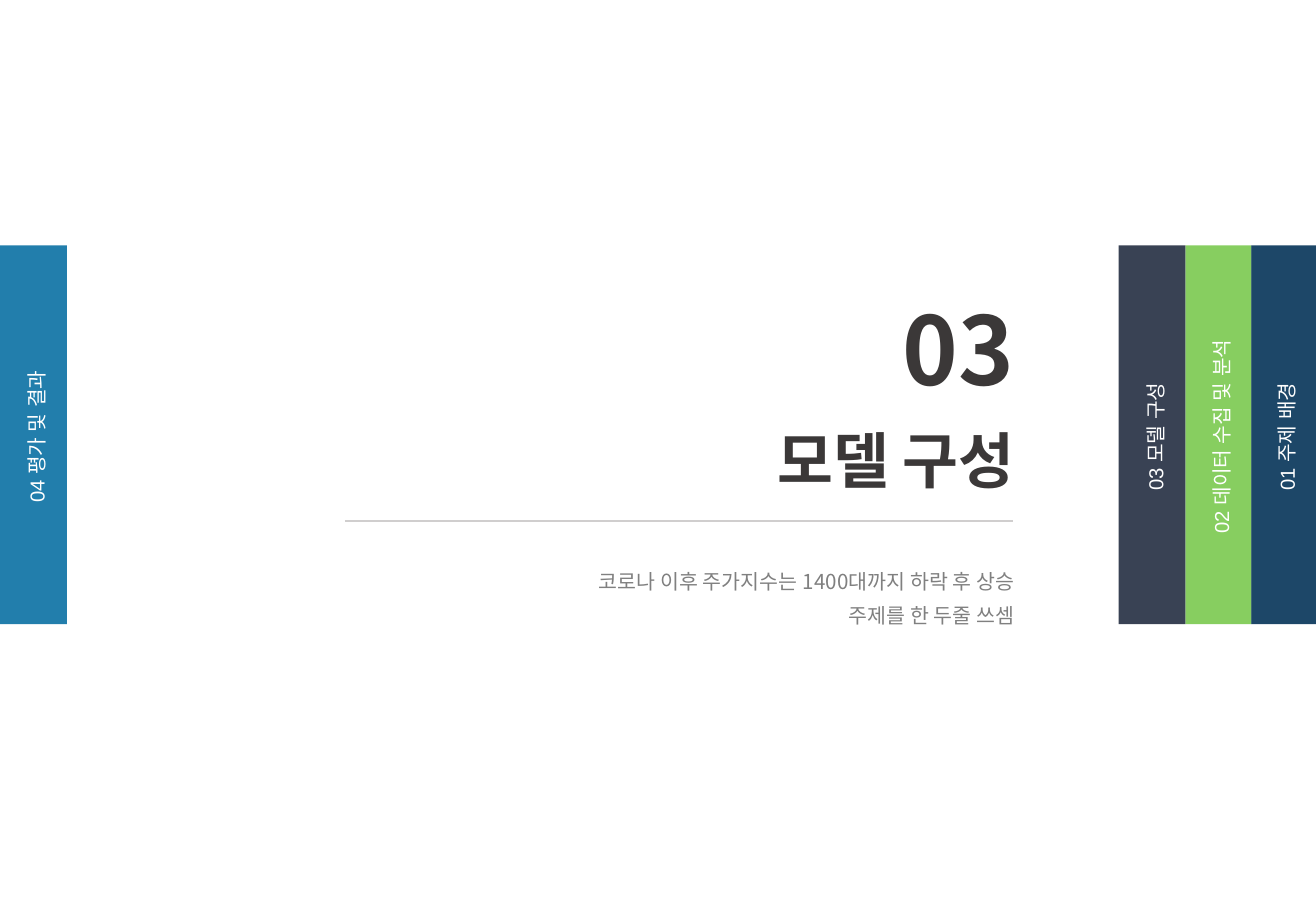
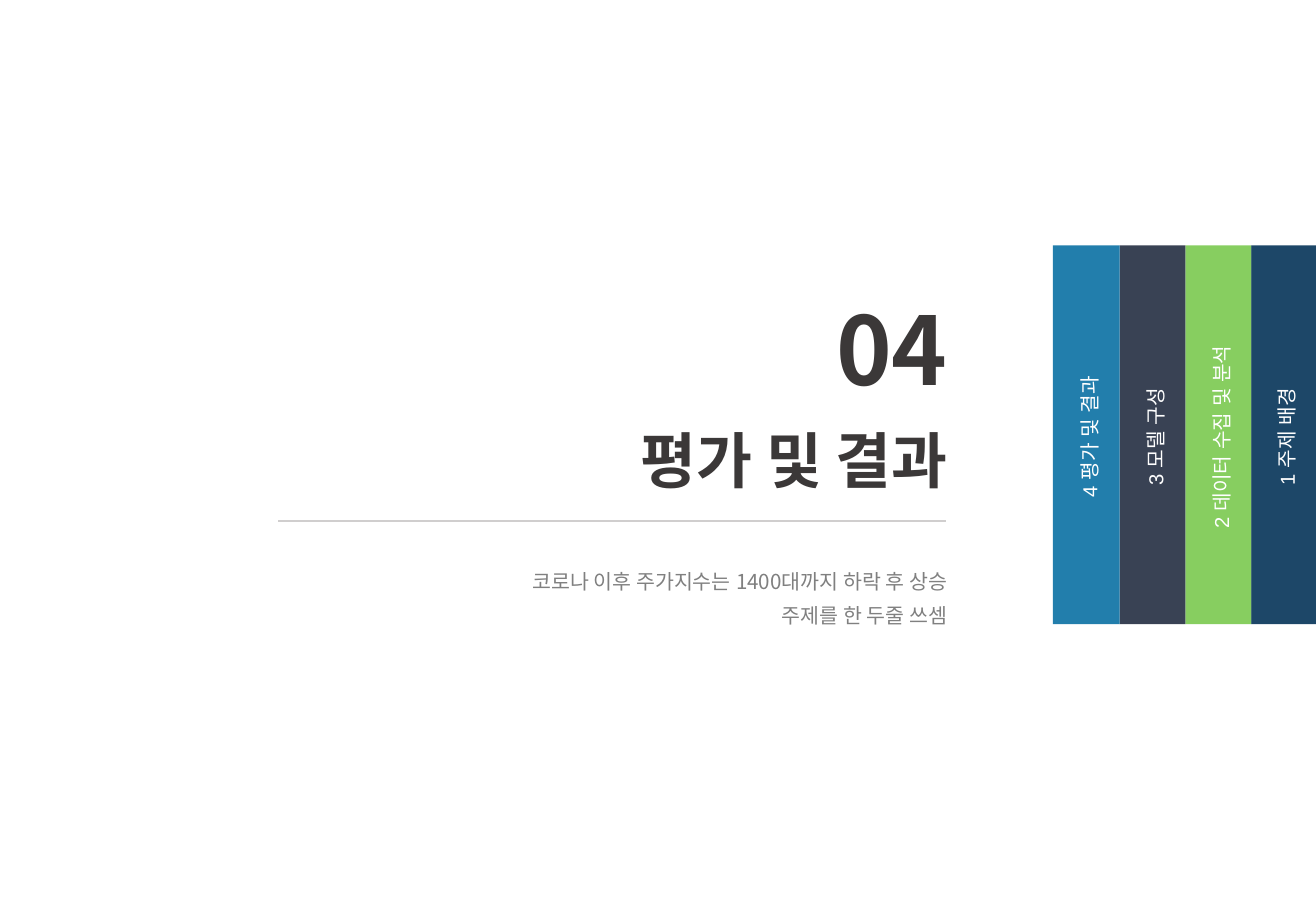
from dataclasses import dataclass

from lxml import etree
from pptx import Presentation
from pptx.dml.color import RGBColor
from pptx.enum import shapes, text
from pptx.oxml import ns
from pptx.util import Pt


@dataclass(frozen=True)
class Theme:
    """Colours, fonts and type sizes of the deck."""
    white: str = "FFFFFF"
    ink: str = "3B3838"
    grey: str = "808080"
    rule: str = "D0CECE"
    tabs: tuple = ("1D4768", "87CE60", "394254", "227EAC")
    sans: str = "Noto Sans CJK KR"
    label: str = "Arial"
    huge: float = 56
    title: float = 36
    body: float = 12.2
    small: float = 12


LOOK = Theme()
WIDE, HIGH = 780, 540
TAB, STEP = 39.6, 39
TOP, TALL = 145.4, 224.6
NAMES = ("주제 배경", "데이터 수집 및 분석", "모델 구성", "평가 및 결과")
NOTES = ("코로나 이후 주가지수는 1400대까지 하락 후 상승", "주제를 한 두줄 쓰셈")


def add_text(slide, box, lines, size, color, face, lead, align, bold=False, wrap=True):
    """Add a text box with one style for all its lines."""
    shape = slide.shapes.add_textbox(*map(Pt, box))
    frame = shape.text_frame
    frame.word_wrap = wrap
    frame.text = "\n".join(lines)
    for para in frame.paragraphs:
        para.alignment = align
        para.line_spacing = Pt(lead)
        font = para.font
        font.size, font.bold, font.name = Pt(size), bold, face
        font.color.rgb = RGBColor.from_string(color)
        props = para._p.pPr.find(ns.qn("a:defRPr"))
        etree.SubElement(props, ns.qn("a:ea"), typeface=face)
    return shape


def add_rect(slide, box, color):
    """Add a plain filled rectangle."""
    shape = slide.shapes.add_shape(shapes.MSO_SHAPE.RECTANGLE, *map(Pt, box))
    shape.shadow.inherit = False
    shape.fill.solid()
    shape.fill.fore_color.rgb = RGBColor.from_string(color)
    shape.line.fill.background()


def add_rule(slide, left, right, y):
    """Add a thin horizontal rule."""
    line = slide.shapes.add_connector(
        shapes.MSO_CONNECTOR.STRAIGHT, Pt(left), Pt(y), Pt(right), Pt(y))
    line.line.color.rgb = RGBColor.from_string(LOOK.rule)
    line.line.width = Pt(1.25)
    etree.SubElement(line._element.spPr, ns.qn("a:effectLst"))


def add_tab(slide, left, color, label):
    """Add a vertical tab with its turned label."""
    add_rect(slide, (left, 0, TAB, HIGH), LOOK.white)
    add_rect(slide, (left, TOP, TAB, TALL), color)
    wide, high = 223.2, 26.6
    box = (left + (TAB - wide) / 2 - 0.6, 245.5, wide, high)
    turn = add_text(slide, box, [label], LOOK.small, LOOK.white, LOOK.label,
                    19.5, text.PP_ALIGN.CENTER)
    turn.rotation = 270


def add_head(slide, right, index):
    """Add the number, title, rule and notes, flush right."""
    end = text.PP_ALIGN.RIGHT
    heads = ((f"{index:02}", 182.2, 90.7, LOOK.huge),
             (NAMES[index - 1], 236.2, 435.6, LOOK.title))
    for words, top, wide, size in heads:
        add_text(slide, (right - wide, top, wide, 61.2), [words], size,
                 LOOK.ink, LOOK.sans, 54, end, bold=True, wrap=False)
    add_rule(slide, right - 404, right - 7.8, 308.9)
    add_text(slide, (right - 390.2, 328.3, 390.2, 41), NOTES, LOOK.body,
             LOOK.grey, LOOK.sans, 20, end)


def add_cover(deck, index, right, digits):
    """Add a section slide; tabs past the section wait at the left."""
    slide = deck.slides.add_slide(deck.slide_layouts[6])
    add_head(slide, right, index)
    for place, (name, color) in enumerate(zip(NAMES, LOOK.tabs)):
        left = WIDE - STEP * (place + 1) if place < index else 0
        add_tab(slide, left, color, f"{place + 1:0{digits}} {name}")


def main():
    """Build and save the deck."""
    deck = Presentation()
    deck.slide_width, deck.slide_height = Pt(WIDE), Pt(HIGH)
    add_cover(deck, 3, 608.4, 2)
    add_cover(deck, 4, 608.4 - TAB, 1)
    deck.save("out.pptx")


if __name__ == "__main__":
    main()
